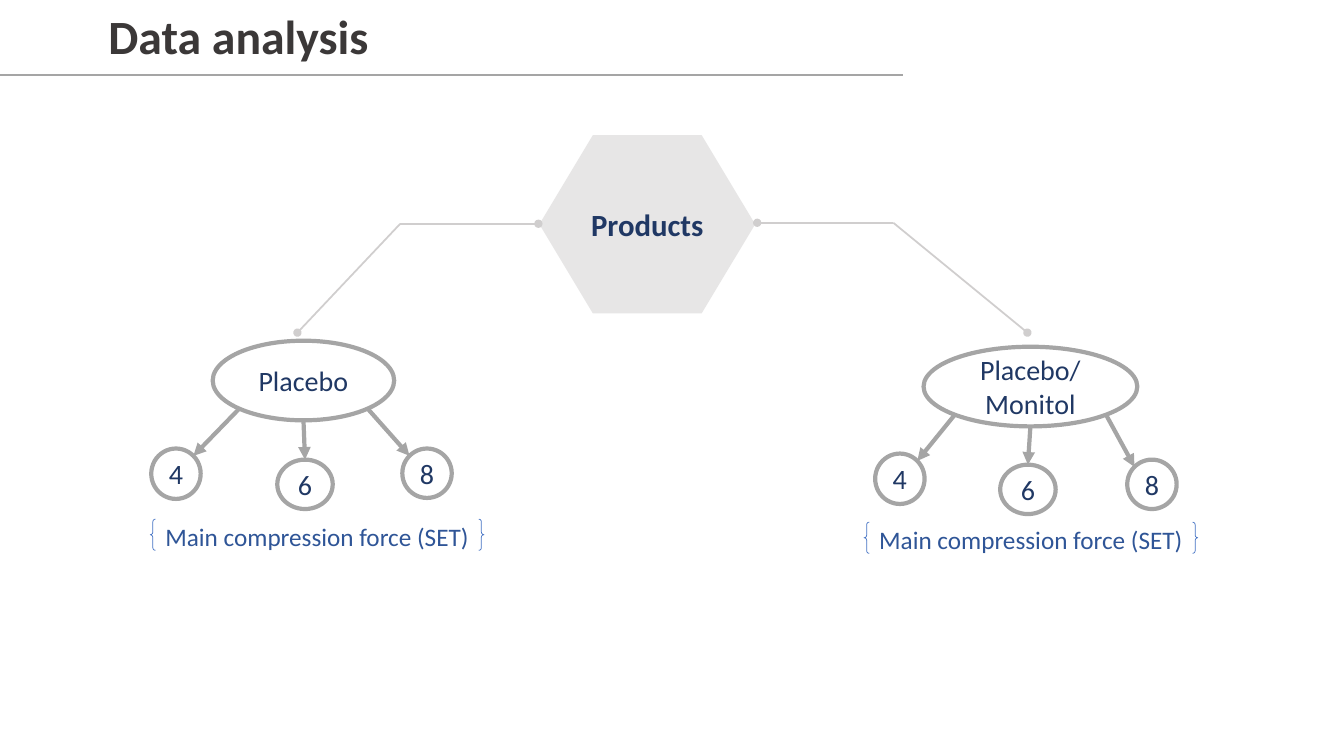
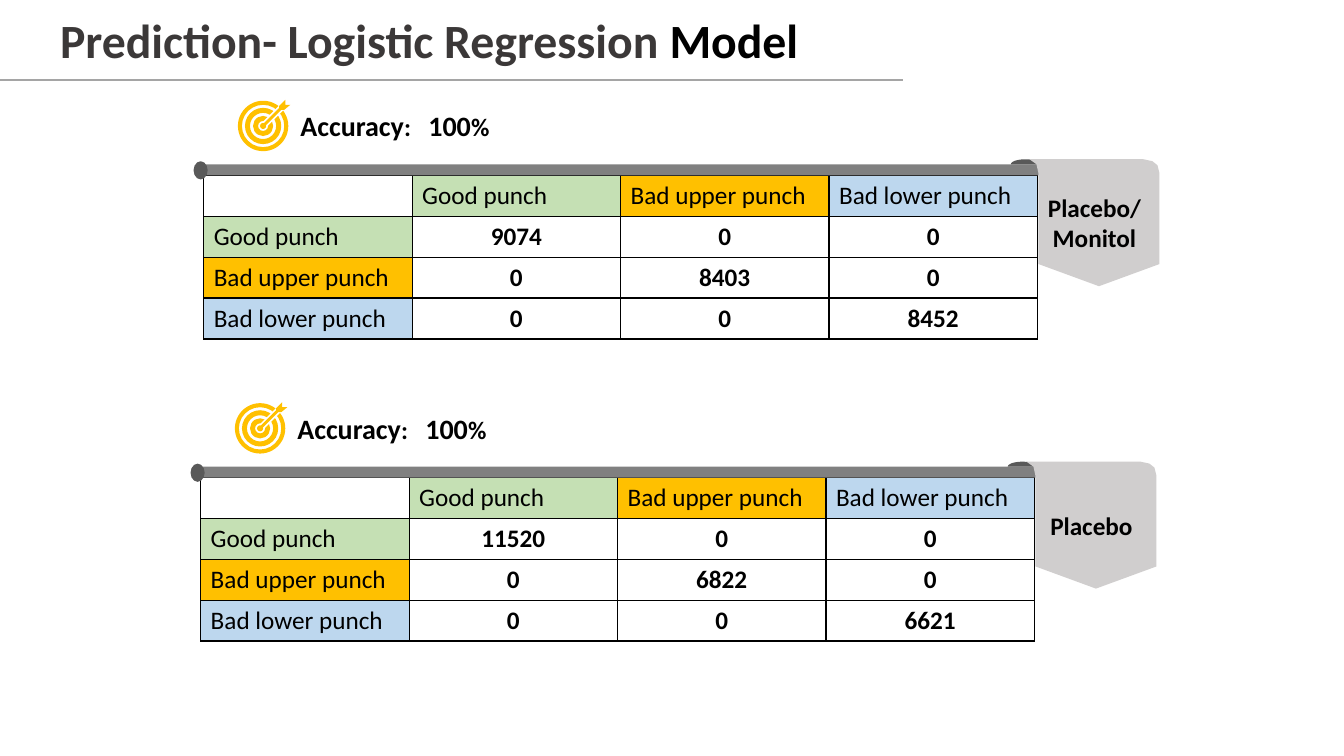
import math

import lxml.etree
import pptx
import pptx.dml.color
import pptx.enum.shapes
import pptx.enum.text
import pptx.oxml
import pptx.oxml.ns
import pptx.util

Inches = pptx.util.Inches
Pt = pptx.util.Pt
Shapes = pptx.enum.shapes.MSO_SHAPE
Align = pptx.enum.text.PP_ALIGN
Anchor = pptx.enum.text.MSO_ANCHOR
qn = pptx.oxml.ns.qn


def color(hex_value):
    return pptx.dml.color.RGBColor.from_string(hex_value)


class Page:
    font = "Calibri"
    black = "000000"
    heading = "3B3838"
    navy = "203864"
    blue = "2F5597"
    gray = "A5A5A5"
    silver = "D0CECE"
    gold = "FFC000"
    classes = [
        ("Good punch", "C5E0B4"),
        ("Bad upper punch", gold),
        ("Bad lower punch", "BDD7EE"),
    ]

    def __init__(self, deck):
        self.slide = deck.slides.add_slide(deck.slide_layouts[5])
        self.shapes = self.slide.shapes

    def format(self, span, size, ink, bold=False):
        span.font.name = self.font
        span.font.size = Pt(size)
        span.font.bold = bold
        span.font.color.rgb = color(ink)

    def spans(self, para, parts):
        for words, size, ink in parts:
            span = para.add_run()
            span.text = words
            self.format(span, size, ink, True)

    def title(self, left, top, width, parts, rule_top):
        box = self.shapes.title
        box.left, box.top = Inches(left), Inches(top)
        box.width, box.height = Inches(width), Inches(0.55)
        frame = box.text_frame
        frame.word_wrap = True
        frame.auto_size = pptx.enum.text.MSO_AUTO_SIZE.NONE
        frame.vertical_anchor = Anchor.MIDDLE
        para = frame.paragraphs[0]
        para.alignment = Align.CENTER
        para.line_spacing = 0.7
        self.spans(para, [(words, 34.1, ink) for words, ink in parts])
        self.line((0, rule_top), (8.96, rule_top), self.gray, 1.5)

    def paint(self, shape, fill=None, line=None, width=1):
        shape.shadow.inherit = False
        if fill:
            shape.fill.solid()
            shape.fill.fore_color.rgb = color(fill)
        else:
            shape.fill.background()
        if line:
            shape.line.color.rgb = color(line)
            shape.line.width = Pt(width)
        else:
            shape.line.fill.background()

    def label(self, shape, words, size, ink, bold=False):
        frame = shape.text_frame
        frame.word_wrap = True
        frame.vertical_anchor = Anchor.MIDDLE
        frame.margin_left = frame.margin_right = 0
        frame.margin_top = frame.margin_bottom = 0
        frame.text = words
        for para in frame.paragraphs:
            para.alignment = Align.CENTER
            for span in para.runs:
                self.format(span, size, ink, bold)

    def shape(self, kind, left, top, width, height, fill=None, line=None, weight=1):
        shape = self.shapes.add_shape(
            kind, Inches(left), Inches(top), Inches(width), Inches(height))
        self.paint(shape, fill, line, weight)
        return shape

    def outline(self, left, top, points, fill):
        corners = [(Inches(left + x), Inches(top + y)) for x, y in points]
        builder = self.shapes.build_freeform(*corners[0], scale=1.0)
        builder.add_line_segments(corners[1:], close=True)
        shape = builder.convert_to_shape()
        self.paint(shape, fill)
        return shape

    def line(self, start, end, ink, width, tip=None):
        line = self.shapes.add_connector(
            pptx.enum.shapes.MSO_CONNECTOR.STRAIGHT,
            Inches(start[0]), Inches(start[1]), Inches(end[0]), Inches(end[1]))
        line.line.color.rgb = color(ink)
        line.line.width = Pt(width)
        properties = line._element.spPr
        if tip:
            lxml.etree.SubElement(properties.find(qn("a:ln")), qn("a:tailEnd"), type=tip)
        lxml.etree.SubElement(properties, qn("a:effectLst"))

    def oval(self, words, left, top, width, height):
        oval = self.shape(Shapes.OVAL, left, top, width, height, None, self.gray, 3)
        self.label(oval, words, 20, self.navy)
        return oval

    def rim(self, oval, degrees):
        angle = math.radians(degrees)
        x = oval.left + oval.width * (1 + math.cos(angle)) / 2
        y = oval.top + oval.height * (1 + math.sin(angle)) / 2
        return x / Inches(1), y / Inches(1)

    def branch(self, product, product_box, force_boxes, caption_left, caption_top):
        parent = self.oval(product, *product_box)
        for force, force_box, degrees in zip("468", force_boxes, (135, 90, 45)):
            child = self.oval(force, *force_box)
            self.line(self.rim(parent, degrees), self.rim(child, degrees + 180),
                      self.gray, 3, "triangle")
        caption = self.shape(Shapes.DOUBLE_BRACE, caption_left, caption_top,
                             3.31, 0.31, None, "4472C4", 0.5)
        self.label(caption, "Main compression force (SET)", 18, self.blue)

    def target(self, x, y):
        for radius, band in ((0.25, 0.04), (0.18, 0.05), (0.1, 0.05)):
            ring = self.shape(Shapes.DONUT, x - radius, y - radius,
                              2 * radius, 2 * radius, self.gold)
            ring.adjustments[0] = band / (2 * radius)
        self.line((x, y), (x + 0.2, y - 0.2), "FFFFFF", 4.5)
        self.shape(Shapes.OVAL, x - 0.03, y - 0.03, 0.06, 0.06, self.gold)
        arrow = [(0.02, 0), (0, -0.02), (0.16, -0.18), (0.16, -0.2), (0.22, -0.26),
                 (0.22, -0.21), (0.27, -0.21), (0.21, -0.16), (0.18, -0.16)]
        self.outline(x, y, arrow, self.gold)

    def accuracy(self, left, top):
        box = self.shapes.add_textbox(
            Inches(left), Inches(top), Inches(4.18), Inches(0.44))
        box.text_frame.word_wrap = True
        para = box.text_frame.paragraphs[0]
        self.spans(para, [("Accuracy", 20, self.black), (":\t", 18, self.black),
                          ("100", 20, self.black), ("%", 18, self.black)])
        stops = lxml.etree.SubElement(para._p.get_or_add_pPr(), qn("a:tabLst"))
        lxml.etree.SubElement(stops, qn("a:tab"), pos=str(Inches(1.27)), algn="l")

    def cell(self, cell, words, fill=None, centered=False):
        cell.text = words
        para = cell.text_frame.paragraphs[0]
        para.alignment = Align.CENTER if centered else Align.LEFT
        for span in para.runs:
            self.format(span, 18, self.black, centered)
        if fill:
            cell.fill.solid()
            cell.fill.fore_color.rgb = color(fill)
        else:
            cell.fill.background()
        properties = cell._tc.get_or_add_tcPr()
        for index, side in enumerate("LRTB"):
            border = lxml.etree.Element(qn("a:ln" + side), w=str(Pt(1)))
            solid = lxml.etree.SubElement(border, qn("a:solidFill"))
            lxml.etree.SubElement(solid, qn("a:srgbClr"), val=self.black)
            properties.insert(index, border)

    def confusion_matrix(self, left, top, counts):
        size = len(self.classes) + 1
        table = self.shapes.add_table(
            size, size, Inches(left), Inches(top), Inches(8.27), Inches(1.62)).table
        table.first_row = table.horz_banding = False
        for row in table.rows:
            row.height = Inches(1.62 / size)
        self.cell(table.cell(0, 0), "")
        for i, (name, fill) in enumerate(self.classes, 1):
            self.cell(table.cell(0, i), name, fill)
            self.cell(table.cell(i, 0), name, fill)
            for j in range(1, size):
                count = counts[i - 1] if i == j else 0
                self.cell(table.cell(i, j), str(count), centered=True)

    def result(self, left, top, product, counts):
        self.confusion_matrix(left, top, counts)
        self.accuracy(left + 0.86, top - 0.71)
        self.target(left + 0.59, top - 0.49)
        self.shape(Shapes.RECTANGLE, left, top - 0.11, 8.3, 0.11, "808080")
        arc = [math.radians(angle) for angle in range(0, 181, 15)]
        fold = [(0.145 * math.cos(a), -0.05 * math.sin(a)) for a in arc]
        self.outline(left + 8.15, top - 0.11, fold, "595959")
        self.shape(Shapes.OVAL, left - 0.1, top - 0.14, 0.14, 0.18, "595959")
        ribbon = [(0, 0), (1.13, 0), (1.22, 0.02), (1.27, 0.06), (1.29, 0.14),
                  (1.29, 1.04), (0.69, 1.26), (0.09, 1.04), (0.09, 0.14), (0.07, 0.05)]
        tag = self.outline(left + 8.19, top - 0.16, ribbon, self.silver)
        self.label(tag, product, 18, self.black, True)


def build_analysis(deck):
    page = Page(deck)
    page.title(0.85, 0.15, 3.03, [("Data analysis", page.heading)], 0.74)
    page.branch("Placebo", (2.11, 3.38, 1.8, 0.79),
                [(1.5, 4.45, 0.49, 0.5), (2.75, 4.56, 0.55, 0.49), (3.99, 4.45, 0.49, 0.49)],
                1.49, 5.15)
    page.branch("Placebo/ Monitol", (9.16, 3.44, 2.12, 0.79),
                [(8.68, 4.5, 0.49, 0.5), (9.92, 4.61, 0.55, 0.49), (11.18, 4.56, 0.49, 0.49)],
                8.57, 5.18)
    products = page.shape(Shapes.HEXAGON, 5.35, 1.34, 2.14, 1.77, "E7E6E6")
    products.adjustments[0] = 0.3
    page.label(products, "Products", 22, page.navy, True)
    for bend, ends in (((3.97, 2.22), [(5.34, 2.22), (2.95, 3.3)]),
                       ((8.86, 2.21), [(7.51, 2.21), (10.19, 3.3)])):
        for end in ends:
            page.line(bend, end, page.silver, 1.25, "oval")


def build_prediction(deck):
    page = Page(deck)
    page.title(0.37, 0.19, 7.88, [("Prediction- Logistic Regression ", page.heading),
                                  ("Model ", page.black)], 0.79)
    page.result(2.02, 1.74, "Placebo/\nMonitol", (9074, 8403, 8452))
    page.result(1.99, 4.74, "Placebo", (11520, 6822, 6621))


def main():
    deck = pptx.Presentation()
    deck.slide_width, deck.slide_height = Inches(13.33), Inches(7.5)
    build_analysis(deck)
    build_prediction(deck)
    deck.save("out.pptx")


if __name__ == "__main__":
    main()
